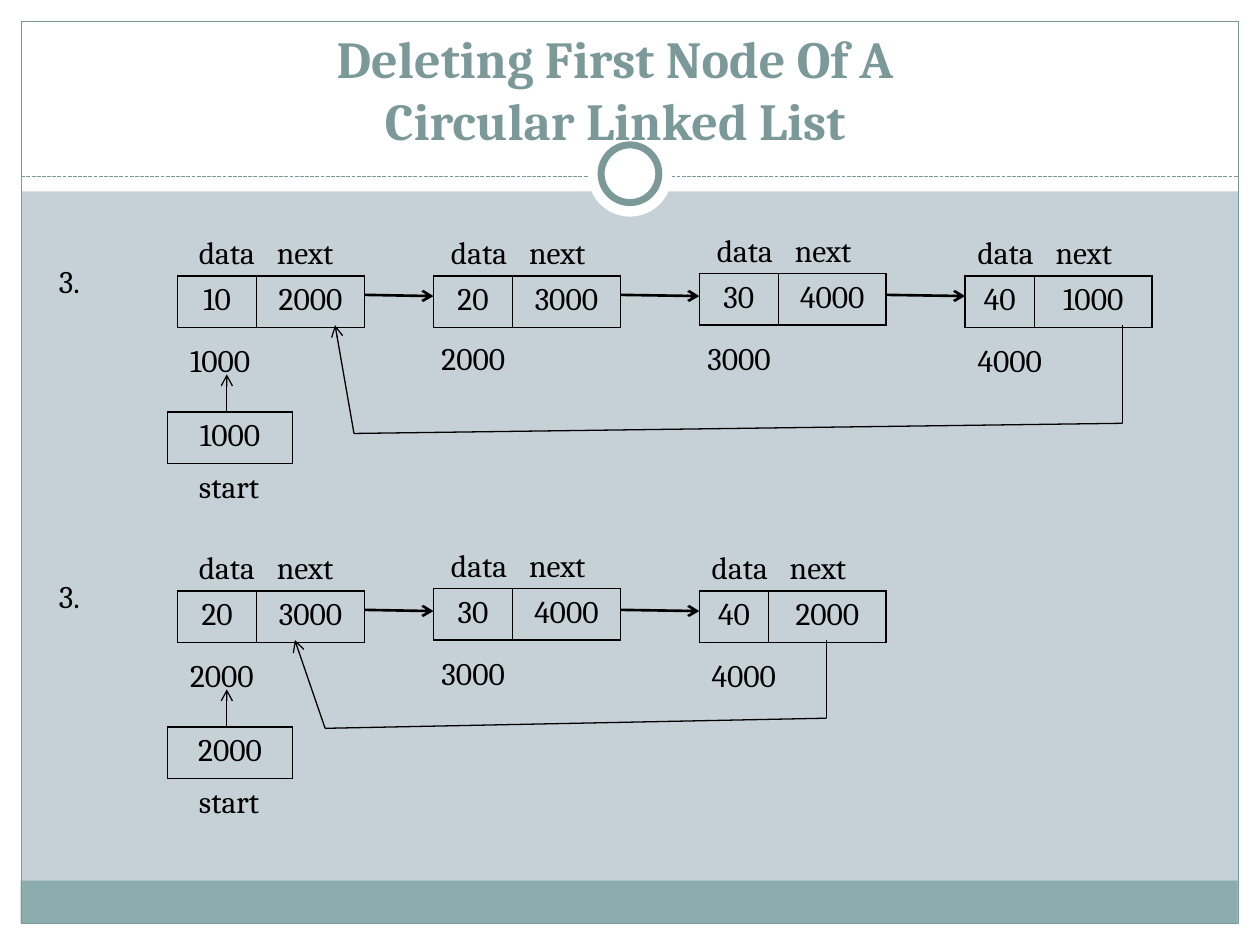
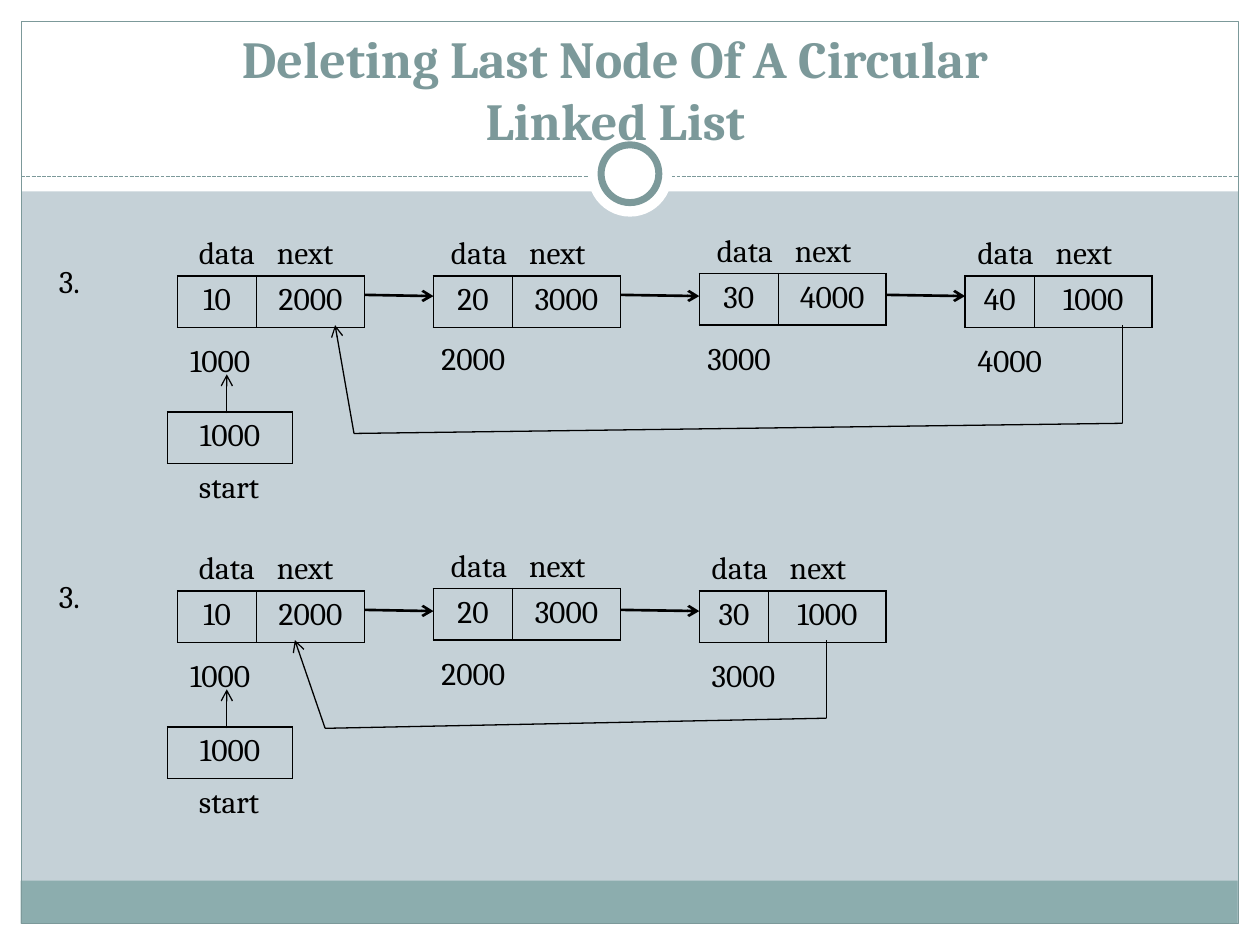
"""Builds two slides on deleting nodes of a circular linked list."""
from lxml import etree
from pptx import Presentation
from pptx.dml.color import RGBColor
from pptx.enum.dml import MSO_LINE
from pptx.enum.shapes import MSO_CONNECTOR as CONN, MSO_SHAPE as SHAPE
from pptx.enum.text import MSO_ANCHOR, MSO_AUTO_SIZE as FIT, PP_ALIGN
from pptx.oxml import parse_xml
from pptx.oxml.ns import nsdecls, qn
from pptx.util import Pt

COLORS = {"page": "C5D1D7", "white": "FFFFFF", "band": "8CADAE",
          "accent": "7C999A", "ink": "000000"}
FONT = "Cambria"
NODE_X = [101.5, 247.7, 399.6, 551.5]
NODE_W, NODE_H = 106.8, 29.5
LIFT = 1.4
LONG = {"y": 157.7, "nodes": [("10", "2000"), ("20", "3000"), ("30", "4000"), ("40", "1000")],
        "addresses": ["1000", "2000", "3000", "4000"], "loop": (641.5, 202.3, 191.5, 84.2)}
SHORT = {"y": 337.7, "loop": (472.3, 185.8, 168.5, 72.7)}
SLIDES = [
    ("Deleting First Node Of A Circular Linked List",
     {"nodes": [("20", "3000"), ("30", "4000"), ("40", "2000")],
      "addresses": ["2000", "3000", "4000"]}),
    ("Deleting Last Node Of A Circular Linked List",
     {"nodes": [("10", "2000"), ("20", "3000"), ("30", "1000")],
      "addresses": ["1000", "2000", "3000"]}),
]


def rgb(name):
    return RGBColor.from_string(COLORS[name])


class Deck:
    def __init__(self):
        self.prs = Presentation()
        self.prs.slide_width, self.prs.slide_height = Pt(720), Pt(540)
        self.layout = self.prs.slide_layouts[5]
        self.s = None

    def new_slide(self, title):
        first = self.s is None
        self.s = self.prs.slides.add_slide(self.layout)
        if first:
            self.frame_layout()
        sp = self.s.shapes.title
        sp.left, sp.top, sp.width, sp.height = Pt(129.6), Pt(39.6), Pt(444.2), Pt(50.4)
        tf = sp.text_frame
        tf.text = title
        tf.word_wrap = True
        tf.auto_size = FIT.NONE
        tf.vertical_anchor = MSO_ANCHOR.BOTTOM
        self.style(tf.paragraphs[0], 29.7, "accent", PP_ALIGN.CENTER, True)

    def frame_layout(self):
        fill = self.layout.background.fill
        fill.solid()
        fill.fore_color.rgb = rgb("page")
        parts = [
            self.shape(SHAPE.RECTANGLE, 0, 527.8, 720, 12.2, "white"),
            self.shape(SHAPE.RECTANGLE, 0, 0, 720, 109.4, "white"),
            self.shape(SHAPE.RECTANGLE, 0, 0, 12.2, 540, "white"),
            self.shape(SHAPE.RECTANGLE, 707.8, 0, 12.2, 540, "white"),
            self.shape(SHAPE.RECTANGLE, 11.8, 503.3, 695.5, 24.5, "band"),
            self.shape(SHAPE.RECTANGLE, 12.2, 12.2, 695.6, 515.6, line=0.75),
            self.line((12.2, 100.8), (707.8, 100.8), 0.75, "accent", dashed=True),
            self.shape(SHAPE.OVAL, 336, 75.8, 48, 48, "white"),
            self.shape(SHAPE.OVAL, 343.5, 82.8, 33, 33, "white", 4),
        ]
        tree = self.layout.shapes.element
        for i, sp in enumerate(parts):
            sp.element.xpath(".//p:cNvPr")[0].set("id", str(20 + i))
            tree.insert(2 + i, sp.element)

    def style(self, p, size=18, color="ink", align=PP_ALIGN.LEFT, bold=False):
        p.alignment = align
        for r in p.runs:
            r.font.name, r.font.size, r.font.bold = FONT, Pt(size), bold
            r.font.color.rgb = rgb(color)

    def shape(self, kind, x, y, w, h, fill=None, line=0):
        sp = self.s.shapes.add_shape(kind, Pt(x), Pt(y), Pt(w), Pt(h))
        sp.shadow.inherit = False
        if fill:
            sp.fill.solid()
            sp.fill.fore_color.rgb = rgb(fill)
        else:
            sp.fill.background()
        if line:
            sp.line.color.rgb = rgb("accent")
            sp.line.width = Pt(line)
        else:
            sp.line.fill.background()
        return sp

    def line(self, start, end, width=0.75, color="ink", arrow=False, dashed=False):
        sp = self.s.shapes.add_connector(CONN.STRAIGHT, *map(Pt, (*start, *end)))
        sp.line.color.rgb = rgb(color)
        sp.line.width = Pt(width)
        if dashed:
            sp.line.dash_style = MSO_LINE.SQUARE_DOT
        if arrow:
            ln = sp.element.spPr.find(qn("a:ln"))
            etree.SubElement(ln, qn("a:tailEnd"), type="arrow")
        etree.SubElement(sp.element.spPr, qn("a:effectLst"))
        return sp

    def text(self, x, y, w, text, tab=None):
        tf = self.s.shapes.add_textbox(Pt(x), Pt(y), Pt(w), Pt(29)).text_frame
        tf.text = text
        tf.word_wrap = True
        tf.auto_size = FIT.SHAPE_TO_FIT_TEXT
        p = tf.paragraphs[0]
        if tab:
            p._p.get_or_add_pPr().append(parse_xml(
                f'<a:tabLst {nsdecls("a")}><a:tab pos="{Pt(tab)}" algn="l"/></a:tabLst>'))
        self.style(p)

    def table(self, x, y, widths, values):
        tbl = self.s.shapes.add_table(1, len(values), Pt(x), Pt(y),
                                      Pt(sum(widths)), Pt(NODE_H)).table
        tbl.first_row = tbl.horz_banding = False
        for col, w in zip(tbl.columns, widths):
            col.width = Pt(w)
        for cell, value in zip(tbl.iter_cells(), values):
            cell.text = value
            self.style(cell.text_frame.paragraphs[0], align=PP_ALIGN.CENTER)
            cell.fill.background()
            for i, side in enumerate("LRTB"):
                cell._tc.get_or_add_tcPr().insert(i, parse_xml(
                    f'<a:ln{side} {nsdecls("a")} w="{Pt(1)}"><a:solidFill>'
                    f'<a:srgbClr val="{COLORS["ink"]}"/></a:solidFill></a:ln{side}>'))

    def circular_list(self, y, nodes, addresses, loop):
        last = len(nodes) - 1
        for i, (x, values, address) in enumerate(zip(NODE_X, nodes, addresses)):
            middle = 0 < i < last
            top = y - LIFT if i == last - 1 else y
            data_w = 39.6 if i == last else 45.2
            label_dx = 5 if i == 0 else 2.9 if middle else 0
            self.table(x, top, (data_w, NODE_W - data_w), values)
            self.text(x + label_dx, top - 28.1, 98, "data\tnext", tab=44.6)
            self.text(x - 2.5 * middle, y + 33.8 - LIFT * middle, 58.3, address)
            if i < last:
                self.line((x + NODE_W, y + 10.8), (NODE_X[i + 1], y + 11.5), 1.5, arrow=True)
        self.text(26.6, y - 11.5, 29.5, "3.")
        self.table(95.8, y + 77.8, (71.3,), (addresses[0],))
        self.text(106.6, y + 105.8, 51.8, "start")
        self.line((129.6, y + 78.5), (129.6, y + 56.2), arrow=True)
        tail_x, corner_x, head_x, drop = loop
        points = [(tail_x, y + 28.1), (tail_x, y + drop),
                  (corner_x, y + drop + 5.8), (head_x, y + 28.1)]
        for i, (start, end) in enumerate(zip(points, points[1:])):
            self.line(start, end, arrow=i == 2)


def main():
    deck = Deck()
    for title, remaining in SLIDES:
        deck.new_slide(title)
        deck.circular_list(**LONG)
        deck.circular_list(**SHORT, **remaining)
    deck.prs.save("out.pptx")


if __name__ == "__main__":
    main()
